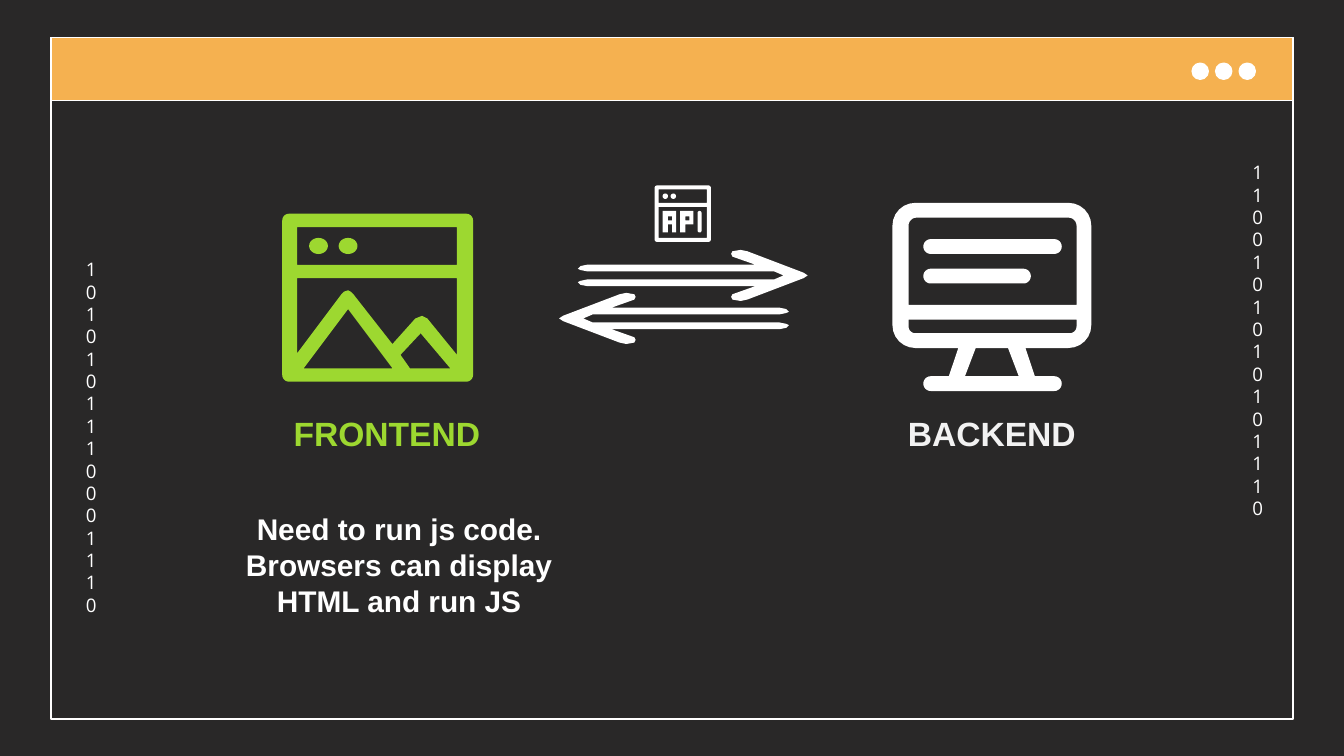
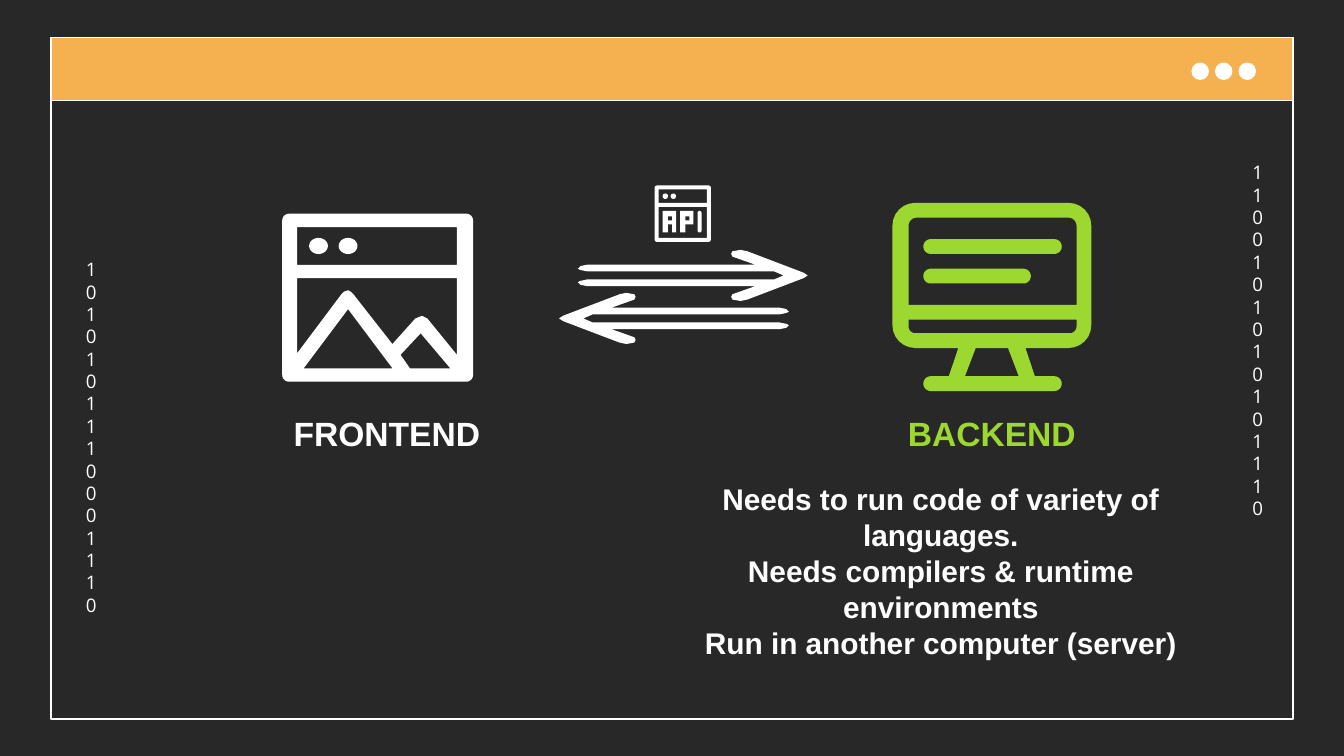
import math

import pptx
import pptx.dml.color
import pptx.enum.shapes
import pptx.enum.text
import pptx.util

Inches = pptx.util.Inches
RGBColor = pptx.dml.color.RGBColor
SHAPE = pptx.enum.shapes.MSO_SHAPE

DARK = RGBColor(0x29, 0x28, 0x28)
ORANGE = RGBColor(0xF5, 0xB1, 0x50)
WHITE = RGBColor(0xFF, 0xFF, 0xFF)
PALE = RGBColor(0xF2, 0xF2, 0xF2)
GREEN = RGBColor(0x9D, 0xD8, 0x30)

PAGE_WIDTH = Inches(10)
PAGE_HEIGHT = PAGE_WIDTH * 9 // 16
WINDOW = (0.38, 0.28, 9.24, 5.07)
LABEL_TOP, LABEL_WIDTH, LABEL_HEIGHT = 3.02, 2.24, 0.4


def add_text(page, text, box, size=16, font="Arial", color=WHITE, bold=True, inset=0.05):
    """Centred text; each line of the string becomes a paragraph."""
    frame = page.shapes.add_textbox(*map(Inches, box)).text_frame
    frame.word_wrap = True
    frame.margin_left = frame.margin_right = Inches(0.1)
    frame.margin_top = frame.margin_bottom = Inches(inset)
    frame.text = text
    for para in frame.paragraphs:
        para.alignment = pptx.enum.text.PP_ALIGN.CENTER
        para.line_spacing = pptx.util.Pt(size * 1.2)
        for span in para.runs:
            span.font.name = font
            span.font.size = pptx.util.Pt(size)
            span.font.bold = bold
            span.font.color.rgb = color


def add_outlined(page, kind, box, fill=None):
    shape = page.shapes.add_shape(kind, *map(Inches, box))
    shape.shadow.inherit = False
    if fill is None:
        shape.fill.background()
    else:
        shape.fill.solid()
        shape.fill.fore_color.rgb = fill
    shape.line.color.rgb = WHITE
    shape.line.width = pptx.util.Pt(0.75)


def rounded(left, top, width, height, upper=0, lower=None):
    """Outline of a rectangle with its upper and lower corner radii."""
    lower = upper if lower is None else lower
    right, bottom = left + width, top + height
    corners = [
        (left + upper, top + upper, upper, 180),
        (right - upper, top + upper, upper, 270),
        (right - lower, bottom - lower, lower, 0),
        (left + lower, bottom - lower, lower, 90),
    ]
    points = []
    for x, y, radius, start in corners:
        for turn in range(0, 91, 15) if radius else (0,):
            angle = math.radians(start + turn)
            points.append((x + radius * math.cos(angle), y + radius * math.sin(angle)))
    return points


def capsule(left, top, width, height):
    return rounded(left, top, width, height, min(width, height) / 2)


def ellipse(left, top, width, height):
    angles = [math.radians(turn) for turn in range(0, 360, 15)]
    return [
        (left + width / 2 * (1 + math.cos(angle)), top + height / 2 * (1 + math.sin(angle)))
        for angle in angles
    ]


def add_outline(page, left, top, contours, color):
    """One freeform; contours lying inside others cut holes."""
    builder = None
    for contour in contours:
        points = [(Inches(left + x), Inches(top + y)) for x, y in contour]
        if builder is None:
            builder = page.shapes.build_freeform(*points[0], scale=1.0)
        else:
            builder.move_to(*points[0])
        builder.add_line_segments(points[1:], close=True)
    shape = builder.convert_to_shape()
    shape.shadow.inherit = False
    shape.fill.solid()
    shape.fill.fore_color.rgb = color
    shape.line.fill.background()


def add_browser_icon(page, left, top, color):
    landscape = [
        (1.08, 0.78), (1.04, 0.76), (0.99, 0.78), (0.82, 0.97), (0.53, 0.6),
        (0.51, 0.58), (0.49, 0.57), (0.46, 0.58), (0.44, 0.6),
        (0.11, 1.04), (0.11, 0.48), (1.3, 0.48), (1.3, 1.05),
    ]
    contours = [
        rounded(0, 0, 1.42, 1.25, 0.05),
        rounded(0.11, 0.1, 1.19, 0.28),
        ellipse(0.2, 0.18, 0.14, 0.12),
        ellipse(0.42, 0.18, 0.14, 0.12),
        landscape,
        [(0.82, 1.15), (0.16, 1.15), (0.49, 0.71)],
        [(0.95, 1.15), (0.88, 1.05), (1.03, 0.89), (1.25, 1.15)],
    ]
    add_outline(page, left, top, contours, color)


def add_monitor_icon(page, left, top, color):
    width = 1.48
    left_leg = [(0.49, 1.08), (0.62, 1.08), (0.54, 1.29), (0.42, 1.29)]
    contours = [
        rounded(0, 0, width, 1.08, 0.17),
        rounded(0.12, 0.11, 1.25, 0.65, 0.06, 0),
        rounded(0.12, 0.87, 1.25, 0.1, 0, 0.05),
        capsule(0.23, 0.27, 1.03, 0.11),
        capsule(0.23, 0.49, 0.8, 0.11),
        left_leg,
        [(width - x, y) for x, y in left_leg],
        capsule(0.23, 1.29, 1.03, 0.11),
    ]
    add_outline(page, left, top, contours, color)


def add_exchange_arrows(page, left, top, color):
    width, height, axis = 1.85, 0.7, 0.19
    half = [
        (1.85, 0), (1.82, 0.02), (1.4, 0.18), (1.35, 0.19), (1.29, 0.18), (1.28, 0.16),
        (1.29, 0.14), (1.46, 0.08), (0.21, 0.08), (0.16, 0.07), (0.14, 0.05),
        (0.16, 0.04), (0.21, 0.03), (1.6, 0.03), (1.67, 0),
    ]
    request = [(x, axis - y) for x, y in half]
    request += [(x, axis + y) for x, y in reversed(half[1:-1])]
    response = [(width - x, height - y) for x, y in request]
    add_outline(page, left, top, [request, response], color)


def add_api_icon(page, left, top, color):
    letter_a = [
        (0.06, 0.19), (0.16, 0.19), (0.16, 0.35), (0.13, 0.35),
        (0.13, 0.29), (0.1, 0.29), (0.1, 0.35), (0.06, 0.35),
    ]
    letter_p = [
        (0.19, 0.19), (0.29, 0.19), (0.29, 0.29), (0.23, 0.29), (0.23, 0.35), (0.19, 0.35),
    ]
    contours = [
        rounded(0, 0, 0.42, 0.42, 0.02),
        rounded(0.03, 0.03, 0.36, 0.1),
        ellipse(0.06, 0.06, 0.04, 0.04),
        ellipse(0.12, 0.06, 0.04, 0.04),
        rounded(0.03, 0.16, 0.36, 0.23),
        letter_a,
        rounded(0.1, 0.23, 0.03, 0.03),
        letter_p,
        rounded(0.23, 0.23, 0.03, 0.03),
        capsule(0.32, 0.19, 0.03, 0.16),
    ]
    add_outline(page, left, top, contours, color)


def add_window(page, box):
    """Window frame, title bar, three buttons and the binary columns."""
    left, top, width, height = box
    add_outlined(page, SHAPE.RECTANGLE, box)
    add_outlined(page, SHAPE.RECTANGLE, (left, top, width, 0.47), ORANGE)
    for index in range(3):
        button_left = left + 8.49 + index * 0.35 / 2
        add_outlined(page, SHAPE.OVAL, (button_left, top + 0.19, 0.12, 0.12), WHITE)
    columns = [
        (8.84, 0.82, "1100101010101110"),
        (0.16, 1.54, "101010111000111\n0"),
    ]
    for x, y, digits in columns:
        add_text(page, digits, (left + x, top + y, 0.24, 2.8),
                 size=10, font="Open Sans", bold=False, inset=0.1)


def add_web_page(deck, front_color, back_color, back_label_color, notes, notes_box):
    page = deck.slides.add_slide(deck.slide_layouts[6])
    page.background.fill.solid()
    page.background.fill.fore_color.rgb = DARK
    add_window(page, WINDOW)
    add_browser_icon(page, 2.1, 1.59, front_color)
    add_monitor_icon(page, 6.64, 1.51, back_color)
    add_exchange_arrows(page, 4.16, 1.86, WHITE)
    add_api_icon(page, 4.87, 1.38, WHITE)
    add_text(page, notes, notes_box)
    for label, left, color in (("BACKEND", 6.26, back_label_color),
                               ("FRONTEND", 1.76, front_color)):
        add_text(page, label, (left, LABEL_TOP, LABEL_WIDTH, LABEL_HEIGHT),
                 size=18, color=color)


def main():
    deck = pptx.Presentation()
    deck.slide_width, deck.slide_height = PAGE_WIDTH, PAGE_HEIGHT
    add_web_page(
        deck, GREEN, WHITE, PALE,
        "Need to run js code.\nBrowsers can display HTML and run JS",
        (1.64, 3.75, 2.66, 0.91),
    )
    add_web_page(
        deck, WHITE, GREEN, GREEN,
        "Needs to run code of variety of languages.\n"
        "Needs compilers & runtime environments\n"
        "Run in another computer (server)",
        (5.14, 3.53, 3.72, 1.45),
    )
    deck.save("out.pptx")


if __name__ == "__main__":
    main()
